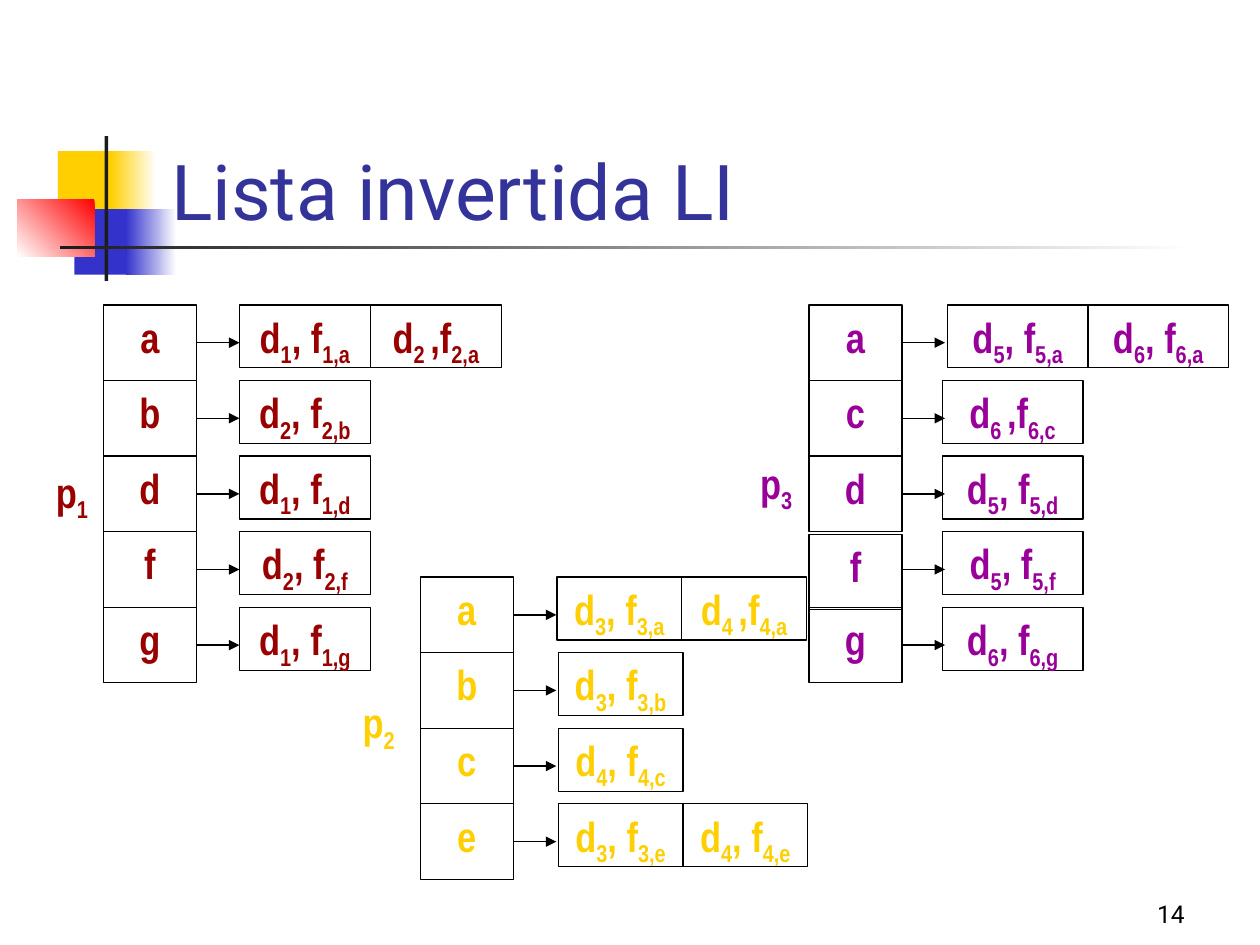
"""Build the slide comparing three partial inverted lists."""
from dataclasses import dataclass
from typing import Any, Optional

from lxml import etree
from pptx import Presentation, util as u
from pptx.dml import color
from pptx.enum import shapes, text
from pptx.oxml import ns

COLOURS = {
    "yellow": "FFCF01", "blue": "3333CC", "red": "FF0000", "dark": "1C1C1C",
    "white": "FFFFFF", "black": "000000", "title": "333399",
    "maroon": "990000", "purple": "990099",
}
WIDTH, HEIGHT = u.Inches(10), u.Inches(7.5)
COLUMN, ROW = WIDTH / 100, HEIGHT / 75
KEY_W, KEY_H, POST_H, ARROW_W = 7.4, 6, 5, 3.4


@dataclass(frozen=True)
class Box:
    x: float
    y: float
    w: float
    h: float


@dataclass(frozen=True)
class Ornament:
    box: Box
    start: str
    end: Optional[str] = None
    angle: float = 180


@dataclass(frozen=True)
class Posting:
    doc: str
    spaced: bool = False

    def wording(self, term: str) -> list[str]:
        mark, sep = (f"{self.doc} ", ",f") if self.spaced else (self.doc, ", f")
        return ["d", mark, sep, f"{self.doc},{term}"]


@dataclass(frozen=True)
class Entry:
    term: str
    postings: tuple[Posting, ...]
    post_x: float
    drop: float = 0


@dataclass(frozen=True)
class InvertedList:
    number: str
    colour: str
    label: Box
    x: float
    y: float
    post_w: float
    entries: tuple[Entry, ...]


ORNAMENTS = (
    Ornament(Box(4.6, 12, 4.8, 5.2), "yellow"),
    Ornament(Box(8.8, 12, 3.6, 5.2), "white", "yellow"),
    Ornament(Box(5.9, 16.6, 4.6, 5.2), "blue"),
    Ornament(Box(10, 16.6, 4, 5.2), "white", "blue"),
    Ornament(Box(1.4, 15.8, 6.1, 4.6), "red", "white", 225),
    Ornament(Box(8.3, 10.8, 0.3, 11.5), "dark"),
    Ornament(Box(4.8, 19.5, 90, 0.3), "white", "dark"),
)

LISTS = (
    InvertedList("1", "maroon", Box(3.3, 36.5, 4.8, 6), 8.2, 24.2, 10.4, (
        Entry("a", (Posting("1"), Posting("2", True)), 19),
        Entry("b", (Posting("2"),), 19),
        Entry("d", (Posting("1"),), 19),
        Entry("f", (Posting("2"),), 19),
        Entry("g", (Posting("1"),), 19),
    )),
    InvertedList("2", "yellow", Box(26.7, 54.8, 6.7, 6), 33.35, 45.8, 9.9, (
        Entry("a", (Posting("3"), Posting("4", True)), 44.2),
        Entry("b", (Posting("3"),), 44.3),
        Entry("c", (Posting("4"),), 44.3),
        Entry("e", (Posting("3"), Posting("4")), 44.3),
    )),
    InvertedList("3", "purple", Box(59.2, 35.8, 4.8, 6), 64.2, 24.2, 11.15, (
        Entry("a", (Posting("5"), Posting("6")), 75.2),
        Entry("c", (Posting("6", True),), 74.8),
        Entry("d", (Posting("5"),), 74.8),
        Entry("f", (Posting("5"),), 74.8, 0.2),
        Entry("g", (Posting("6"),), 74.8),
    )),
)


def rgb(name: str) -> color.RGBColor:
    return color.RGBColor.from_string(COLOURS[name])


def place(box: Box) -> tuple[int, int, int, int]:
    return (round(box.x * COLUMN), round(box.y * ROW),
            round(box.w * COLUMN), round(box.h * ROW))


def write(sp: Any, wording: list[str], font: str, size: float, colour: str,
          align: Any, anchor: Any, bold: bool = False) -> None:
    tf = sp.text_frame
    tf.word_wrap = True
    tf.vertical_anchor = anchor
    p = tf.paragraphs[0]
    p.alignment = align
    for i, piece in enumerate(wording):
        r = p.add_run()
        r.text = piece
        r.font.name, r.font.size, r.font.bold = font, u.Pt(size), bold
        r.font.color.rgb = rgb(colour)
        if i % 2:
            r._r.get_or_add_rPr().set("baseline", "-25000")


def add_rect(parent: Any, box: Box) -> Any:
    sp = parent.shapes.add_shape(shapes.MSO_SHAPE.RECTANGLE, *place(box))
    sp.shadow.inherit = False
    sp.fill.background()
    sp.line.fill.background()
    return sp


def add_ornament(s: Any, item: Ornament) -> None:
    fill = add_rect(s, item.box).fill
    if item.end is None:
        fill.solid()
        fill.fore_color.rgb = rgb(item.start)
        return
    fill.gradient()
    fill.gradient_angle = item.angle
    for stop, name in zip(fill.gradient_stops, (item.start, item.end)):
        stop.color.rgb = rgb(name)


def add_cell(parent: Any, box: Box, wording: list[str], colour: str,
             framed: bool = True) -> Any:
    sp = add_rect(parent, box)
    if framed:
        sp.line.color.rgb = rgb("black")
        sp.line.width = u.Pt(0.75)
    else:
        sp.fill.solid()
        sp.fill.fore_color.rgb = rgb("white")
    write(sp, wording, "Arial Narrow", 24, colour, text.PP_ALIGN.CENTER,
          text.MSO_ANCHOR.TOP, True)
    return sp


def add_arrow(parent: Any, x: float, y: float, key: Optional[Any]) -> None:
    left, top, width, _ = place(Box(x, y, ARROW_W, 0))
    cxn = parent.shapes.add_connector(
        shapes.MSO_CONNECTOR.STRAIGHT, left, top, left + width, top)
    if key is not None:
        cxn.begin_connect(key, 3)
    cxn.line.color.rgb = rgb("black")
    cxn.line.width = u.Pt(0.75)
    etree.SubElement(cxn.line._get_or_add_ln(), ns.qn("a:tailEnd"), type="triangle")
    etree.SubElement(cxn._element.spPr, ns.qn("a:effectLst"))


def add_list(s: Any, inv: InvertedList) -> None:
    grp = s.shapes.add_group_shape()
    add_cell(grp, inv.label, ["p", inv.number], inv.colour, framed=False)
    for i, entry in enumerate(inv.entries):
        y = inv.y + i * KEY_H
        key = add_cell(grp, Box(inv.x, y + entry.drop, KEY_W, KEY_H),
                       [entry.term], inv.colour)
        for j, posting in enumerate(entry.postings):
            box = Box(entry.post_x + j * inv.post_w, y, inv.post_w, POST_H)
            add_cell(grp, box, posting.wording(entry.term), inv.colour)
        add_arrow(grp, inv.x + KEY_W, y + KEY_H / 2, None if entry.drop else key)


def main() -> None:
    prs = Presentation()
    prs.slide_width, prs.slide_height = WIDTH, HEIGHT
    s = prs.slides.add_slide(prs.slide_layouts[6])
    for item in ORNAMENTS:
        add_ornament(s, item)
    title = s.shapes.add_textbox(*place(Box(12.6, 6.7, 85.2, 12.5)))
    write(title, ["Lista invertida LI"], "Roboto", 44, "title",
          text.PP_ALIGN.LEFT, text.MSO_ANCHOR.BOTTOM)
    for inv in LISTS:
        add_list(s, inv)
    number = s.shapes.add_textbox(*place(Box(74.2, 69.2, 20.8, 5)))
    write(number, ["14"], "Roboto", 14, "black",
          text.PP_ALIGN.RIGHT, text.MSO_ANCHOR.BOTTOM)
    prs.save("out.pptx")


if __name__ == "__main__":
    main()
